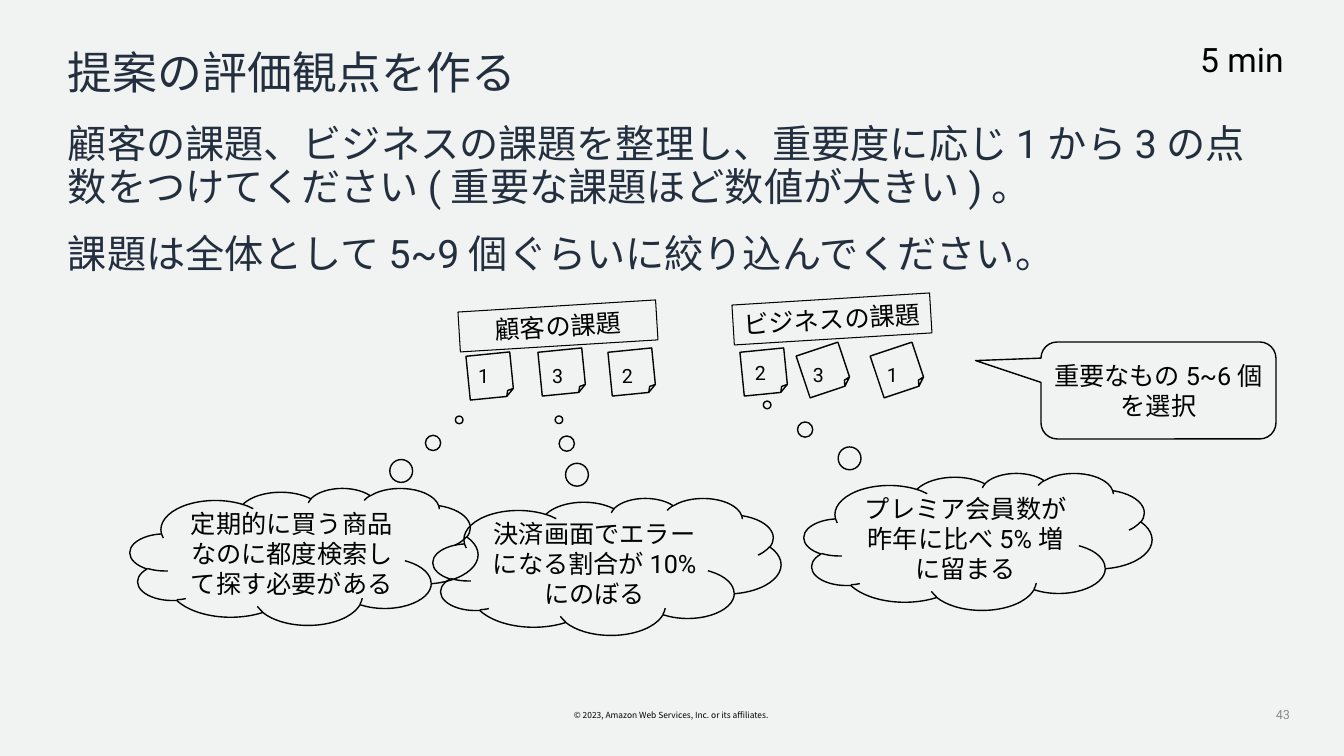
import pptx
import pptx.util
import pptx.dml.color
import pptx.enum.shapes
import pptx.enum.text
import pptx.oxml
import pptx.oxml.ns

SLIDE_W, SLIDE_H = 1344, 756
EMU_PER_PX = 12192000 / SLIDE_W
COLORS = {"background": "F1F3F3", "heading": "232F3E", "ink": "000000", "number": "8C8C8C"}
LATIN, CJK = "Roboto", "Noto Sans CJK JP"
NOTE_SIZE = 44
SHAPE = pptx.enum.shapes.MSO_SHAPE
ALIGN = pptx.enum.text.PP_ALIGN
ANCHOR = pptx.enum.text.MSO_ANCHOR

# note left, top, rotation; score left, top; score
SCORED_NOTES = [
    (468, 354, 354.3, 478, 359, "1"),
    (540, 350, 354.3, 552, 359, "3"),
    (610, 350, 354.3, 622, 359, "2"),
    (742, 350, 354.3, 755, 356, "2"),
    (802, 348, 341.5, 813, 358, "3"),
    (876, 348, 341.5, 887, 358, "1"),
]
LABELS = [(459, 306, "顧客の課題"), (733, 299, "ビジネスの課題")]
CLOUDS = [
    (130, 488, (0.446, -0.997), "定期的に買う商品なのに都度検索して探す必要がある"),
    (433, 498, (-0.138, -1.071), "決済画面でエラーになる割合が 10% にのぼる"),
    (804, 473, (-0.606, -0.997), "プレミア会員数が昨年に比べ 5% 増に留まる"),
]


def px(n):
    return pptx.util.Emu(round(n * EMU_PER_PX))


def rgb(name):
    return pptx.dml.color.RGBColor.from_string(COLORS[name])


def write(sp, lines, size, color="ink", font=LATIN, align=ALIGN.LEFT,
          anchor=ANCHOR.TOP, side=0, wrap=True, line_spacing=None, after=None):
    """Fill a shape with paragraphs; side is the left and right inset in px."""
    tf = sp.text_frame
    tf.text = "\n".join(lines)
    tf.word_wrap = wrap
    tf.vertical_anchor = anchor
    tf.margin_left = tf.margin_right = px(side)
    tf.margin_top = tf.margin_bottom = px(5)
    for p in tf.paragraphs:
        p.alignment = align
        if line_spacing:
            p.line_spacing = line_spacing
        if after:
            p.space_after = pptx.util.Pt(after)
        for r in p.runs:
            r.font.size = pptx.util.Pt(size)
            r.font.name = font
            r.font.color.rgb = rgb(color)
            ea = pptx.oxml.parse_xml(
                f'<a:ea {pptx.oxml.ns.nsdecls("a")} typeface="{CJK}"/>')
            r.font._element.find(pptx.oxml.ns.qn("a:latin")).addnext(ea)


def add_text(s, box, lines, size, **style):
    write(s.shapes.add_textbox(*map(px, box)), lines, size, **style)


def add_outline(s, kind, box, rotation=0, adjustments=(), line=1):
    """Add an unfilled preset shape with a black outline."""
    sp = s.shapes.add_shape(kind, *map(px, box))
    sp.shadow.inherit = False
    sp.fill.background()
    sp.line.color.rgb = rgb("ink")
    sp.line.width = pptx.util.Pt(line)
    sp.rotation = rotation
    for i, value in enumerate(adjustments):
        sp.adjustments[i] = value
    return sp


def add_scored_note(s, left, top, rotation, score_left, score_top, score):
    add_outline(s, SHAPE.FOLDED_CORNER, (left, top, NOTE_SIZE, NOTE_SIZE), rotation)
    add_text(s, (score_left, score_top, 41, 34), [score], 14)


def add_label(s, left, top, text):
    sp = add_outline(s, SHAPE.RECTANGLE, (left, top, 198, 40), 356.5, line=0.75)
    write(sp, [text], 18, align=ALIGN.CENTER)


def add_callout(s, kind, box, adjustments, text):
    sp = add_outline(s, kind, box, adjustments=adjustments)
    write(sp, [text], 18, align=ALIGN.CENTER, anchor=ANCHOR.MIDDLE, side=5)


def main():
    prs = pptx.Presentation()
    prs.slide_width, prs.slide_height = px(SLIDE_W), px(SLIDE_H)
    s = prs.slides.add_slide(prs.slide_layouts[6])
    s.background.fill.solid()
    s.background.fill.fore_color.rgb = rgb("background")

    add_text(s, (553, 705, 236, 20),
             ["© 2023, Amazon Web Services, Inc. or its affiliates."],
             6, font=CJK, align=ALIGN.CENTER, wrap=False)
    add_text(s, (68, 46, 1208, 60), ["提案の評価観点を作る"], 32,
             color="heading", font=CJK, line_spacing=0.9)
    add_text(s, (68, 120, 1210, 164), [
        "顧客の課題、ビジネスの課題を整理し、重要度に応じ 1 から 3 の点数をつけてください ( 重要な課題ほど数値が大きい ) 。",
        "課題は全体として 5~9 個ぐらいに絞り込んでください。",
    ], 28, color="heading", line_spacing=0.9, after=18)
    add_text(s, (1041, 694, 259, 40), ["43"], 9, color="number",
             align=ALIGN.RIGHT, anchor=ANCHOR.MIDDLE, side=10)
    add_text(s, (1140, 34, 204, 50), ["5 min"], 24, align=ALIGN.CENTER)

    for note in SCORED_NOTES:
        add_scored_note(s, *note)
    for label in LABELS:
        add_label(s, *label)
    add_callout(s, SHAPE.ROUNDED_RECTANGULAR_CALLOUT, (1041, 342, 235, 97),
                (-0.778, -0.308, 0.167), "重要なもの 5~6 個を選択")
    for left, top, tail, text in CLOUDS:
        add_callout(s, SHAPE.CLOUD_CALLOUT, (left, top, 348, 137), tail, text)

    prs.save("out.pptx")


if __name__ == "__main__":
    main()
